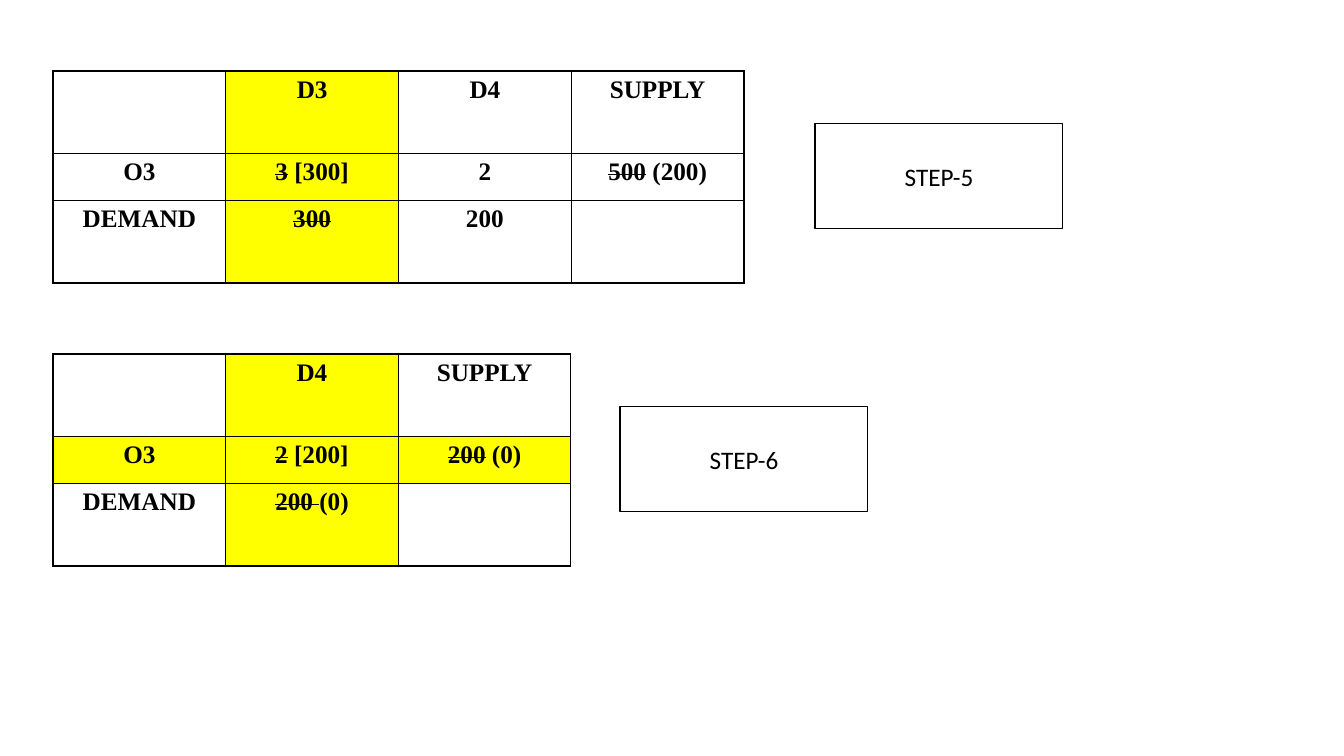
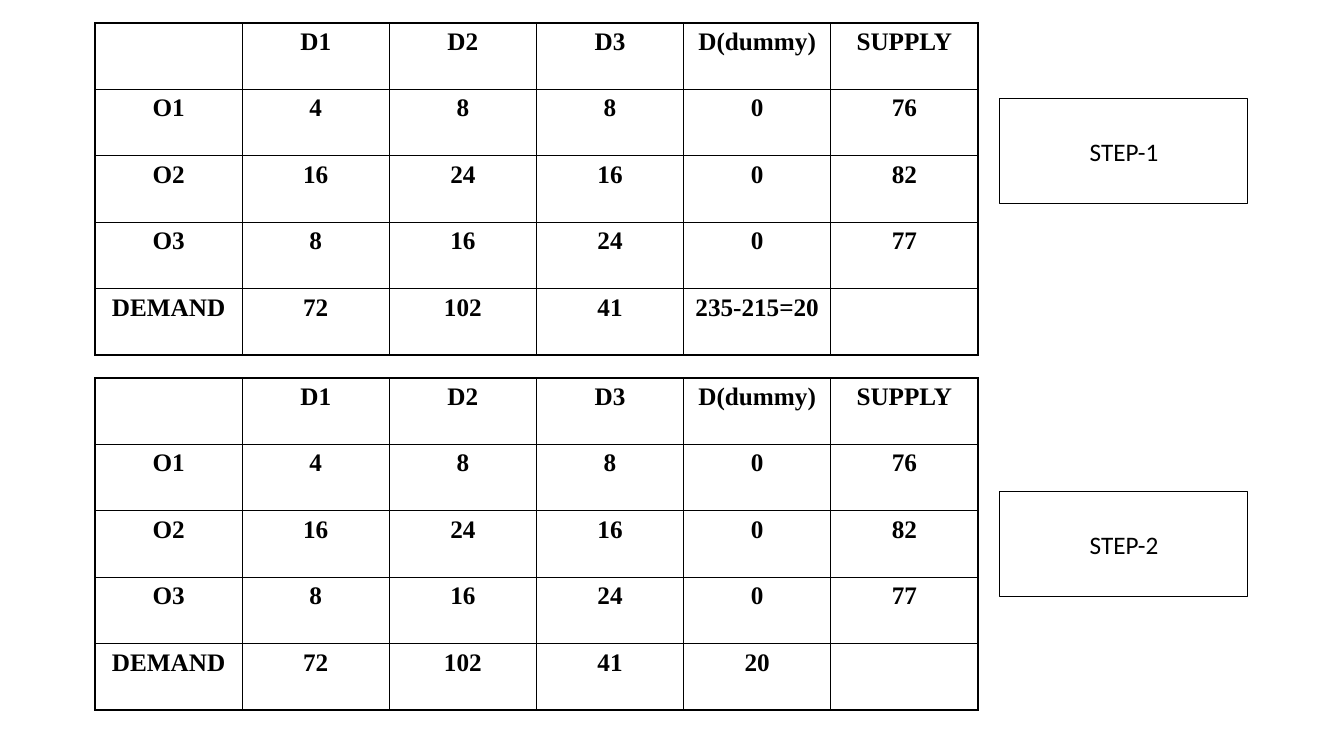
"""Build two slides of transportation tables with their step labels."""
from lxml.etree import SubElement
from pptx import Presentation
from pptx.dml.color import RGBColor
from pptx.enum.shapes import MSO_SHAPE as Shape
from pptx.enum.text import MSO_ANCHOR as Anchor, PP_ALIGN as Align
from pptx.oxml.ns import qn
from pptx.util import Pt

PIXEL = 914400 / 100.8
COLORS = {"ink": "000000", "highlight": "FFFF00"}
FONTS = {"table": "Times New Roman", "label": "Calibri"}


def px(length):
    return round(length * PIXEL)


def color(name):
    return RGBColor.from_string(COLORS[name])


class StepDeck:
    def __init__(self):
        self.deck = Presentation()
        self.deck.slide_width, self.deck.slide_height = px(1344), px(756)
        self.page = None

    def add_page(self):
        self.page = self.deck.slides.add_slide(self.deck.slide_layouts[6])

    def set_text(self, para, text, font_name, bold):
        para.alignment = Align.CENTER
        para.font.name, para.font.size, para.font.bold = FONTS[font_name], Pt(18), bold
        para.font.color.rgb = color("ink")
        for index, part in enumerate(text.split("~")):
            if part:
                span = para.add_run()
                span.text = part
                if index % 2:
                    span._r.get_or_add_rPr().set("strike", "sngStrike")

    def border(self, cell):
        properties = cell._tc.get_or_add_tcPr()
        for side in ("lnL", "lnR", "lnT", "lnB"):
            line = SubElement(properties, qn(f"a:{side}"), w=str(Pt(1)))
            fill = SubElement(line, qn("a:solidFill"))
            SubElement(fill, qn("a:srgbClr"), val=COLORS["ink"])

    def table(self, left, top, width, height, rows, shares=None, marked_column=None, marked_row=None):
        shares = shares or [1] * len(rows)
        frame = self.page.shapes.add_table(
            len(rows), len(rows[0]), px(left), px(top), px(width), px(height))
        grid = frame.table
        grid.first_row = grid.horz_banding = False
        for column in grid.columns:
            column.width = px(width / len(rows[0]))
        for row, share in zip(grid.rows, shares):
            row.height = px(height * share / sum(shares))
        for row_index, texts in enumerate(rows):
            for column_index, text in enumerate(texts):
                cell = grid.cell(row_index, column_index)
                cell.margin_left = cell.margin_right = px(11)
                cell.margin_top = cell.margin_bottom = px(5)
                self.border(cell)
                if column_index == marked_column or row_index == marked_row:
                    cell.fill.solid()
                    cell.fill.fore_color.rgb = color("highlight")
                else:
                    cell.fill.background()
                self.set_text(cell.text_frame.paragraphs[0], text, "table", True)

    def step(self, left, top, number):
        box = self.page.shapes.add_shape(Shape.RECTANGLE, px(left), px(top), px(248), px(105))
        box.shadow.inherit = False
        box.fill.background()
        box.line.color.rgb = color("ink")
        box.line.width = Pt(0.75)
        box.text_frame.word_wrap = True
        box.text_frame.vertical_anchor = Anchor.MIDDLE
        self.set_text(box.text_frame.paragraphs[0], f"STEP-{number}", "label", False)


def balanced_rows(dummy_demand):
    return [
        ["", "D1", "D2", "D3", "D(dummy)", "SUPPLY"],
        ["O1", "4", "8", "8", "0", "76"],
        ["O2", "16", "24", "16", "0", "82"],
        ["O3", "8", "16", "24", "0", "77"],
        ["DEMAND", "72", "102", "41", dummy_demand, ""],
    ]


STEP_5 = [
    ["", "D3", "D4", "SUPPLY"],
    ["O3", "~3~ [300]", "2", "~500~ (200)"],
    ["DEMAND", "~300~", "200", ""],
]
STEP_6 = [
    ["", "D4", "SUPPLY"],
    ["O3", "~2~ [200]", "~200~ (0)"],
    ["DEMAND", "~200 ~(0)", ""],
]
REDUCED_SHARES = (7, 4, 7)

steps = StepDeck()

steps.add_page()
steps.table(53, 71, 691, 212, STEP_5, REDUCED_SHARES, marked_column=1)
steps.table(53, 354, 518, 212, STEP_6, REDUCED_SHARES, marked_column=1, marked_row=1)
steps.step(815, 124, 5)
steps.step(620, 407, 6)

steps.add_page()
for top, dummy_demand in ((23, "235-215=20"), (378, "20")):
    steps.table(95, top, 883, 332, balanced_rows(dummy_demand))
steps.step(1000, 99, 1)
steps.step(1000, 492, 2)

steps.deck.save("out.pptx")
